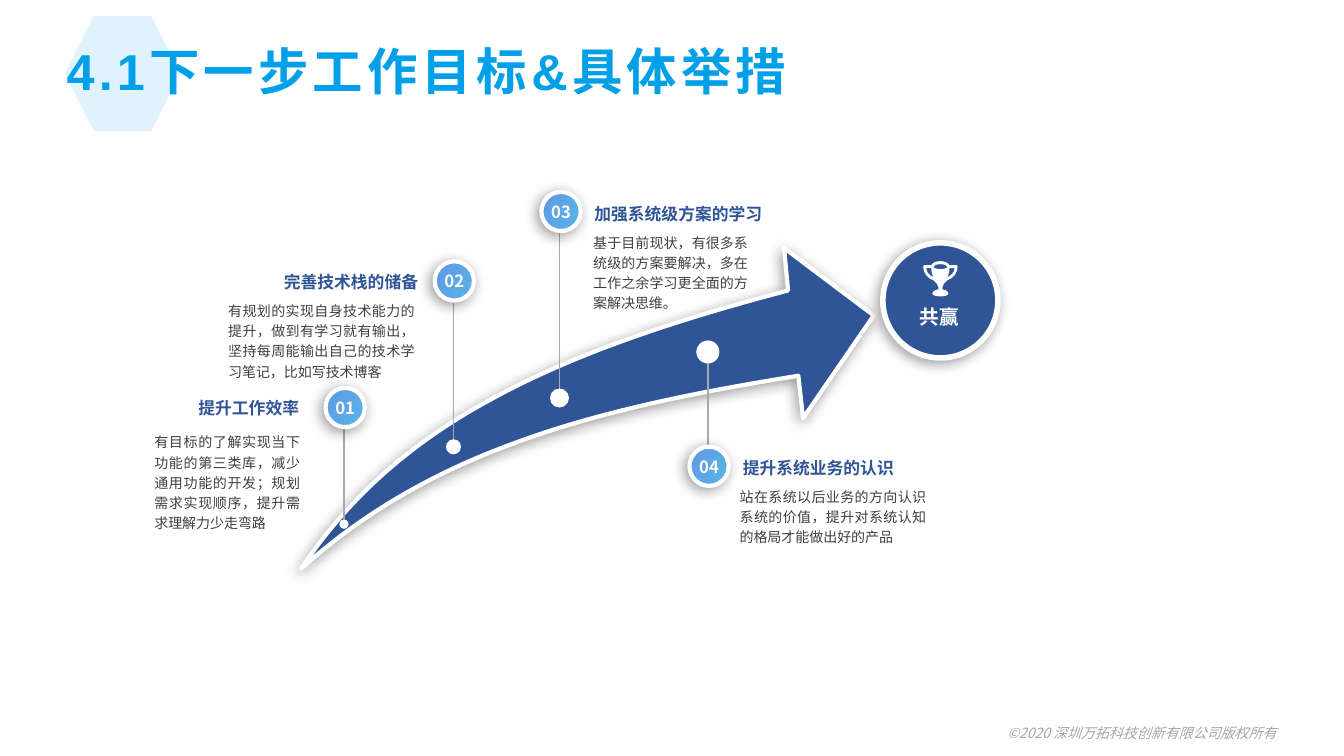
import pptx
import pptx.dml.color
import pptx.enum.shapes
import pptx.enum.text
import pptx.oxml
import pptx.oxml.ns
import pptx.util

Cm = pptx.util.Cm
Pt = pptx.util.Pt
RGBColor = pptx.dml.color.RGBColor
Shape = pptx.enum.shapes.MSO_SHAPE
Align = pptx.enum.text.PP_ALIGN
Anchor = pptx.enum.text.MSO_ANCHOR
qn = pptx.oxml.ns.qn

SKY = RGBColor(0x00, 0xA0, 0xE9)
PALE_SKY = RGBColor(0xE0, 0xF3, 0xFC)
NAVY = RGBColor(0x2F, 0x55, 0x97)
BADGE_CYAN = RGBColor(0x58, 0xB6, 0xE5)
BADGE_BLUE = RGBColor(0x60, 0x96, 0xE6)
WHITE = RGBColor(0xFF, 0xFF, 0xFF)
OFF_WHITE = RGBColor(0xFC, 0xFC, 0xFC)
BODY_GRAY = RGBColor(0x40, 0x40, 0x40)
STEM_GRAY = RGBColor(0xA6, 0xAA, 0xA9)
FOOTER_GRAY = RGBColor(0xA6, 0xA6, 0xA6)

CJK = "Noto Sans CJK SC"
NS = pptx.oxml.ns.nsdecls("a")
SHADOW = (
    f'<a:outerShdw {NS} blurRad="{Pt(10)}" dist="{Pt(3)}" dir="8100000" algn="tr" '
    'rotWithShape="0"><a:srgbClr val="000000"><a:alpha val="40000"/></a:srgbClr></a:outerShdw>'
)


def mirrored(contour):
    """The contour flipped left to right and run backwards, without its start."""
    steps = []
    for before, step in reversed(list(zip(contour, contour[1:]))):
        points = [before[-2:]] + [step[i:i + 2] for i in range(0, len(step) - 2, 2)]
        steps.append(tuple(n for x, y in reversed(points) for n in (-x, y)))
    return steps


class Deck:
    def __init__(self, width, height):
        self.prs = pptx.Presentation()
        self.prs.slide_width, self.prs.slide_height = Cm(width), Cm(height)
        self.slide = self.prs.slides.add_slide(self.prs.slide_layouts[6])
        self.shapes = self.slide.shapes

    def finish(self, shape, fill, outline=0, shadow=False):
        if isinstance(fill, list):
            shape.fill.gradient()
            shape.fill.gradient_angle = 150
            for stop, color in zip(shape.fill.gradient_stops, fill):
                stop.color.rgb = color
        else:
            shape.fill.solid()
            shape.fill.fore_color.rgb = fill
        if outline:
            shape.line.color.rgb = WHITE
            shape.line.width = Pt(outline)
        else:
            shape.line.fill.background()
        shape.shadow.inherit = False
        if shadow:
            effects = shape._element.spPr.find(qn("a:effectLst"))
            effects.append(pptx.oxml.parse_xml(SHADOW))

    def preset(self, kind, cx, cy, size, fill, **style):
        shape = self.shapes.add_shape(
            kind, Cm(cx - size / 2), Cm(cy - size / 2), Cm(size), Cm(size))
        self.finish(shape, fill, **style)

    def outline(self, contours, fill, left=0, top=0, unit=1, **style):
        """Contours hold a start, then steps: 2 numbers for a line, 6 for a curve."""
        def place(x, y):
            return Cm(left + x * unit), Cm(top + y * unit)

        builder = self.shapes.build_freeform(*place(*contours[0][0]))
        for i, contour in enumerate(contours):
            if i:
                builder.move_to(*place(*contour[0]))
            builder.add_line_segments([place(*step[-2:]) for step in contour[1:]], close=True)
        shape = builder.convert_to_shape()
        # Bend the segments that have control points
        steps = [step for contour in contours for step in contour[1:]]
        for segment, step in zip(list(shape._element.iter(qn("a:lnTo"))), steps):
            if len(step) == 6:
                placed = [place(*step[i:i + 2]) for i in (0, 2, 4)]
                points = "".join(f'<a:pt x="{x - shape.left}" y="{y - shape.top}"/>'
                                 for x, y in placed)
                segment.getparent().replace(segment, pptx.oxml.parse_xml(
                    f"<a:cubicBezTo {NS}>{points}</a:cubicBezTo>"))
        self.finish(shape, fill, **style)

    def stem(self, x, y1, y2):
        line = self.shapes.add_connector(
            pptx.enum.shapes.MSO_CONNECTOR.STRAIGHT, Cm(x), Cm(y1), Cm(x), Cm(y2))
        line.line.color.rgb = STEM_GRAY
        line.line.width = Pt(1)
        line._element.spPr.append(pptx.oxml.parse_xml(f"<a:effectLst {NS}/>"))

    def text(self, box, words, size, color, align=Align.LEFT, anchor=Anchor.MIDDLE,
             inset=(0, 0), spacing=1.0, font=CJK, bold=False, italic=False, tracking=0):
        frame = self.shapes.add_textbox(*map(Cm, box)).text_frame
        frame.word_wrap = True
        frame.vertical_anchor = anchor
        frame.margin_left = frame.margin_right = Cm(inset[0])
        frame.margin_top = frame.margin_bottom = Cm(inset[1])
        paragraph = frame.paragraphs[0]
        paragraph.alignment = align
        paragraph.line_spacing = spacing
        run = paragraph.add_run()
        run.text = words
        run.font.size, run.font.name = Pt(size), font
        run.font.bold, run.font.italic = bold, italic
        run.font.color.rgb = color
        properties = run._r.get_or_add_rPr()
        if tracking:
            properties.set("spc", str(tracking * 100))
        properties.find(qn("a:latin")).addnext(
            pptx.oxml.parse_xml(f'<a:ea {NS} typeface="{CJK}"/>'))

    def heading(self, box, words, size=12, color=NAVY, **style):
        self.text(box, words, size, color, bold=True, spacing=0.9, **style)


ARROW = [
    (7.59, 14.33), (8.74, 12.6, 10.29, 11.2, 12.29, 10.11),
    (14.33, 8.97, 16.89, 8.1, 19.86, 7.32), (19.76, 6.25), (22.02, 7.95),
    (20.24, 10.54), (20.12, 9.47), (17.37, 9.91, 14.99, 10.41, 12.93, 11.18),
    (10.85, 11.94, 9.09, 12.98, 7.59, 14.33)]

# Right half of the trophy, around its axis
CUP = [
    (0, 0), (5, 0, 8, 2, 9, 4), (15, 4), (16, 4, 17, 4, 17, 5),
    (17, 13, 12, 17, 7, 19), (4, 22, 2, 23, 2, 26), (2, 28),
    (6, 29, 8, 30, 8, 32), (8, 34, 4, 35, 0, 35)]
RIM = [(0, 3), (5, 3, 7, 5, 7, 6), (7, 6, 5, 8, 0, 8)]
HANDLE = [(7, 16), (8, 14, 9, 11, 9, 7), (14, 7), (14, 12, 10, 14, 7, 16)]
TROPHY = [CUP + mirrored(CUP), RIM + mirrored(RIM), HANDLE, [(-7, 16)] + mirrored(HANDLE)]

# badge centre, dot centre, dot size, heading box, heading, body box, body,
# heading alignment, inset
STEPS = [
    ((8.7, 10.27), (8.67, 13.21), 0.23,
     (3.45, 9.88, 4.34, 0.86), "提升工作效率", (3.64, 10.72, 4.17, 1.3),
     "有目标的了解实现当下功能的第三类库，减少通用功能的开发；规划需求实现顺序，提升需求理解力少走弯路",
     Align.RIGHT, (0.25, 0.13)),
    ((11.45, 7.08), (11.43, 11.26), 0.38,
     (5.84, 6.71, 4.7, 0.86), "完善技术栈的储备", (5.75, 7.54, 4.7, 1.3),
     "有规划的实现自身技术能力的提升，做到有学习就有输出，坚持每周能输出自己的技术学习笔记，比如写技术博客",
     Align.RIGHT, (0, 0)),
    ((14.14, 5.33), (14.1, 10.03), 0.48,
     (14.98, 4.98, 4.3, 0.86), "加强系统级方案的学习", (14.95, 5.82, 3.9, 1.3),
     "基于目前现状，有很多系统级的方案要解决，多在工作之余学习更全面的方案解决思维。",
     Align.LEFT, (0, 0)),
    ((17.87, 11.75), (17.84, 8.87), 0.58,
     (18.72, 11.4, 3.86, 0.86), "提升系统业务的认识", (18.64, 12.22, 4.7, 1.3),
     "站在系统以后业务的方向认识系统的价值，提升对系统认知的格局才能做出好的产品",
     Align.LEFT, (0, 0)),
]


def main():
    deck = Deck(33.87, 19.05)

    # Title and footer
    deck.preset(Shape.HEXAGON, 3.09, 1.85, 2.9, PALE_SKY)
    deck.text((17.68, 17.96, 14.73, 1.02), "©2020 深圳万拓科技创新有限公司版权所有", 10,
              FOOTER_GRAY, align=Align.RIGHT, inset=(0.25, 0.13), italic=True)
    deck.text((1.4, 0.87, 26.21, 1.8), "4.1下一步工作目标&具体举措", 36, SKY,
              inset=(0.28, 0.1), font="Arial", bold=True, tracking=3)

    # Growth arrow
    deck.outline([ARROW], NAVY, outline=3, shadow=True)

    # Steps along the arrow
    for number, step in enumerate(STEPS, 1):
        badge, dot, dot_size, head_box, head, body_box, body, align, inset = step
        deck.stem(dot[0], dot[1], badge[1])
        deck.preset(Shape.OVAL, *badge, 0.99, [BADGE_CYAN, BADGE_BLUE],
                    outline=3, shadow=True)
        deck.preset(Shape.OVAL, *dot, dot_size, WHITE)
        deck.heading(head_box, head, align=align, inset=inset)
        deck.text(body_box, body, 10, BODY_GRAY, align=Align.JUSTIFY,
                  anchor=Anchor.TOP, inset=inset, spacing=1.2)
        deck.text((badge[0] - 0.27, badge[1] - 0.31, 0.54, 0.64), f"{number:02}", 12,
                  OFF_WHITE, align=Align.CENTER, spacing=Pt(14), bold=True)

    # Shared goal
    deck.preset(Shape.OVAL, 23.7, 7.57, 2.9, NAVY, outline=4, shadow=True)
    deck.outline(TROPHY, WHITE, left=23.7, top=6.58, unit=0.0254)
    deck.heading((22.61, 7.59, 2.13, 0.86), "共赢", 14, WHITE, align=Align.CENTER)

    deck.prs.save("out.pptx")


if __name__ == "__main__":
    main()
